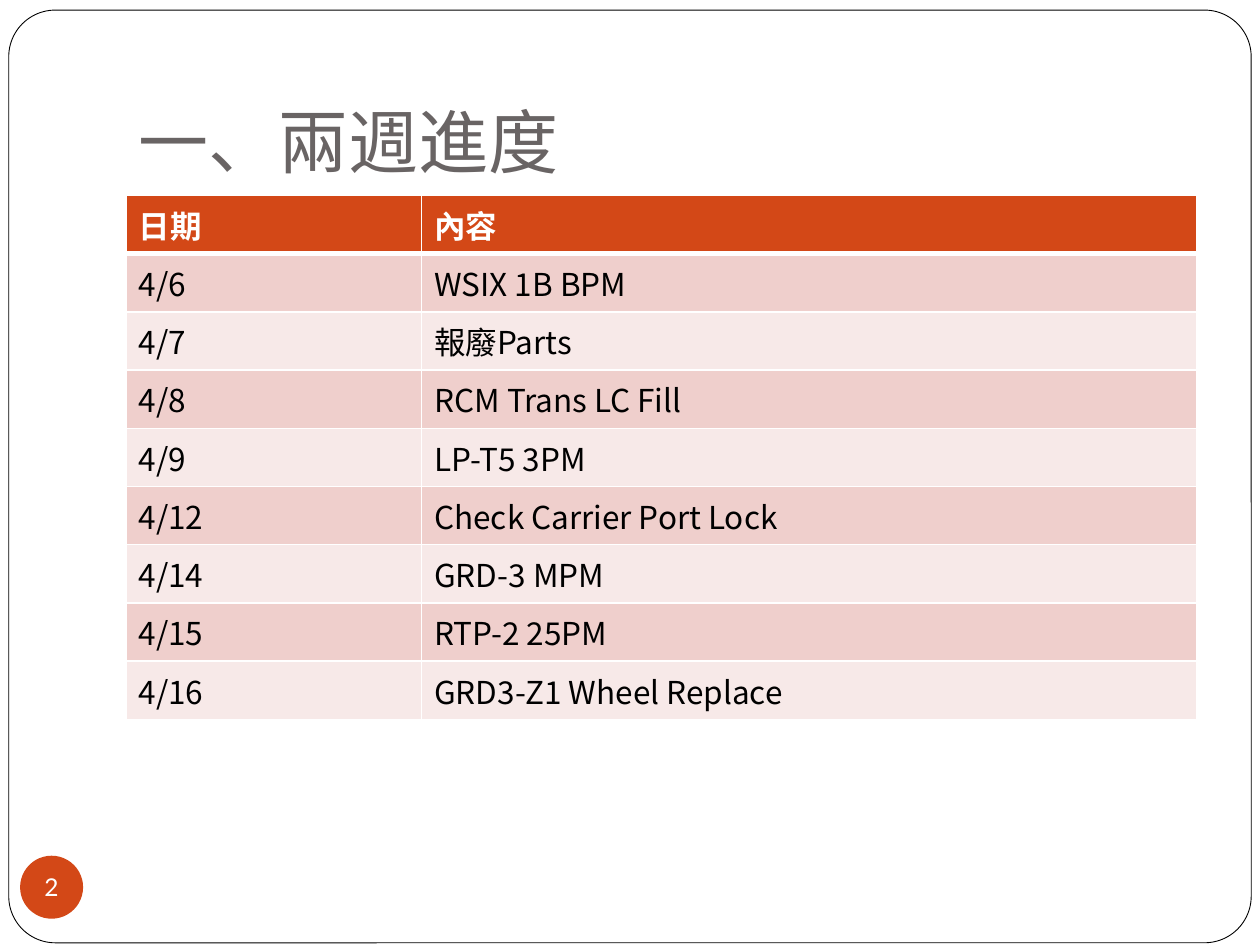
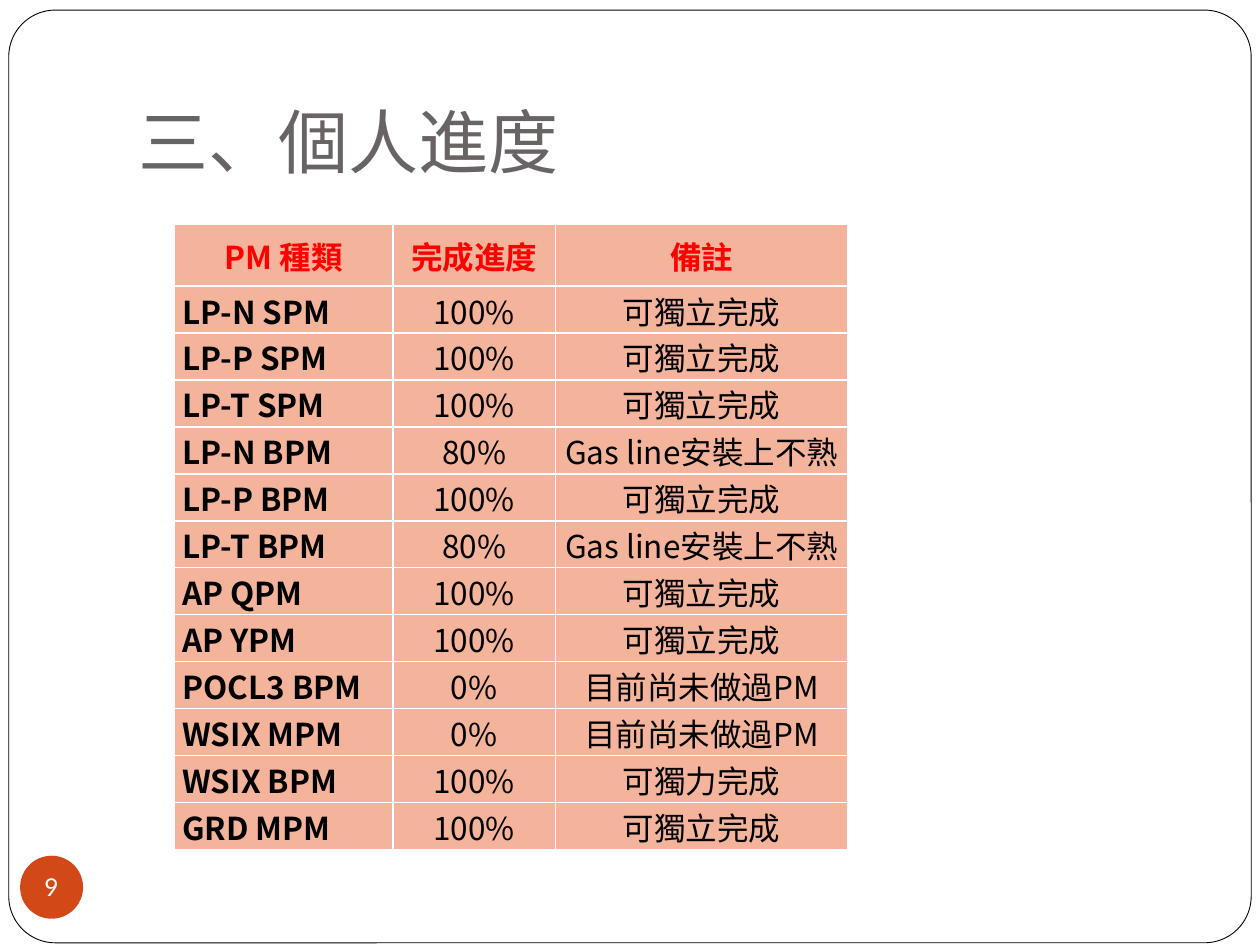
from lxml import etree
from pptx import Presentation
from pptx.dml.color import RGBColor
from pptx.enum import shapes, text
from pptx.oxml import ns
from pptx.util import Pt

WHITE = RGBColor(0xFF, 0xFF, 0xFF)
BLACK = RGBColor(0, 0, 0)
GREY = RGBColor(0x69, 0x64, 0x64)
RUST = RGBColor(0xD3, 0x48, 0x17)
ROSE = RGBColor(0xEF, 0xCF, 0xCC)
PALE = RGBColor(0xF7, 0xE9, 0xE8)
PEACH = RGBColor(0xF4, 0xB3, 0x9B)
RED = RGBColor(0xFF, 0, 0)
LATIN, HAN = "Lato", "Noto Sans CJK SC"
LEFT, CENTER = text.PP_ALIGN.LEFT, text.PP_ALIGN.CENTER

FRAME = (5, 5.75, 710, 533)
TITLE = (72, 21.6, 612, 90)
BADGE = (11.5, 489, 36, 36)
LOG = (72, 111.6, 612, 270)
SKILL = (99.4, 128.2, 385.2, 329.3)

DAYS = [
    ("日期", "內容"),
    ("4/6", "WSIX 1B BPM"),
    ("4/7", "報廢Parts"),
    ("4/8", "RCM Trans LC Fill"),
    ("4/9", "LP-T5 3PM"),
    ("4/12", "Check Carrier Port Lock"),
    ("4/14", "GRD-3 MPM"),
    ("4/15", "RTP-2 25PM"),
    ("4/16", "GRD3-Z1 Wheel Replace"),
]
ALONE, GAS, NEVER = "可獨立完成", "Gas line安裝上不熟", "目前尚未做過PM"
TASKS = [
    ("PM 種類", "完成進度", "備註"),
    ("LP-N SPM", "100%", ALONE),
    ("LP-P SPM", "100%", ALONE),
    ("LP-T SPM", "100%", ALONE),
    ("LP-N BPM", "80%", GAS),
    ("LP-P BPM", "100%", ALONE),
    ("LP-T BPM", "80%", GAS),
    ("AP QPM", "100%", ALONE),
    ("AP YPM", "100%", ALONE),
    ("POCL3 BPM", "0%", NEVER),
    ("WSIX MPM", "0%", NEVER),
    ("WSIX BPM", "100%", "可獨力完成"),
    ("GRD MPM", "100%", ALONE),
]


def points(box):
    return [Pt(n) for n in box]


def style(para, face, size, color, bold=False, align=LEFT):
    font = para.font
    font.name, font.size, font.bold = face, Pt(size), bold
    font.color.rgb = color
    para.alignment = align


def inset(part, left, top, right, bottom):
    part.margin_left, part.margin_top = Pt(left), Pt(top)
    part.margin_right, part.margin_bottom = Pt(right), Pt(bottom)


def add_plain(slide, kind, box, fill):
    shape = slide.shapes.add_shape(kind, *points(box))
    shape.shadow.inherit = False
    shape.fill.solid()
    shape.fill.fore_color.rgb = fill
    return shape


def add_title(slide, box, words):
    title = slide.shapes.title
    title.left, title.top, title.width, title.height = points(box)
    frame = title.text_frame
    frame.text = words
    frame.auto_size = text.MSO_AUTO_SIZE.NONE
    frame.word_wrap = True
    frame.vertical_anchor = text.MSO_ANCHOR.BOTTOM
    inset(frame, 7.2, 3.6, 7.2, 7.2)
    style(frame.paragraphs[0], LATIN, 40, GREY)


def add_frame(slide, box):
    frame = add_plain(slide, shapes.MSO_SHAPE.ROUNDED_RECTANGLE, box, WHITE)
    frame.adjustments[0] = 0.05
    frame.line.color.rgb = BLACK
    frame.line.width = Pt(0.5)
    slide.shapes.title.element.addprevious(frame.element)


def add_badge(slide, box, number):
    badge = add_plain(slide, shapes.MSO_SHAPE.OVAL, box, RUST)
    badge.line.fill.background()
    frame = badge.text_frame
    frame.text = str(number)
    frame.word_wrap = False
    frame.vertical_anchor = text.MSO_ANCHOR.MIDDLE
    inset(frame, 0, 0, 0, 0)
    style(frame.paragraphs[0], LATIN, 14, WHITE, align=CENTER)


def add_edges(cell, top=1, bottom=1):
    props = cell._tc.get_or_add_tcPr()
    for side, width in (("L", 1), ("R", 1), ("T", top), ("B", bottom)):
        edge = etree.SubElement(props, ns.qn(f"a:ln{side}"), w=str(Pt(width)))
        fill = etree.SubElement(edge, ns.qn("a:solidFill"))
        etree.SubElement(fill, ns.qn("a:srgbClr"), val=str(WHITE))


def add_grid(slide, box, data, widths, head, paint):
    grid = slide.shapes.add_table(len(data), len(widths), *points(box)).table
    grid.first_row = grid.horz_banding = False
    for col, width in zip(grid.columns, widths):
        col.width = Pt(width)
    body = (box[3] - head) / (len(data) - 1)
    for r, words in enumerate(data):
        grid.rows[r].height = Pt(body if r else head)
        for c, word in enumerate(words):
            cell = grid.cell(r, c)
            cell.text = word
            paint(cell, r, c)


def paint_log(cell, r, c):
    add_edges(cell, top=3 if r == 1 else 1, bottom=1 if r else 3)
    cell.fill.solid()
    cell.fill.fore_color.rgb = (ROSE if r % 2 else PALE) if r else RUST
    style(cell.text_frame.paragraphs[0], HAN, 18, BLACK if r else WHITE, r == 0)


def paint_skill(cell, r, c):
    name = r > 0 and c == 0
    add_edges(cell)
    cell.fill.solid()
    cell.fill.fore_color.rgb = PEACH
    cell.vertical_anchor = text.MSO_ANCHOR.MIDDLE
    inset(cell, 4.75 if name else 0.75, 0.75, 0.75, 0)
    style(cell.text_frame.paragraphs[0], HAN, 18, BLACK if r else RED,
          r == 0 or name, LEFT if name else CENTER)


def add_page(deck, words, number):
    slide = deck.slides.add_slide(deck.slide_layouts[5])
    add_title(slide, TITLE, words)
    add_frame(slide, FRAME)
    return slide, lambda: add_badge(slide, BADGE, number)


def main():
    deck = Presentation()
    deck.slide_width, deck.slide_height = Pt(720), Pt(540)
    pages = [
        ("一、兩週進度", 2, LOG, DAYS, (169, 443), 30, paint_log),
        ("三、個人進度", 9, SKILL, TASKS, (125.2, 92.8, 167.2), 35.3, paint_skill),
    ]
    for words, number, *grid in pages:
        slide, finish = add_page(deck, words, number)
        add_grid(slide, *grid)
        finish()
    deck.save("out.pptx")


if __name__ == "__main__":
    main()
